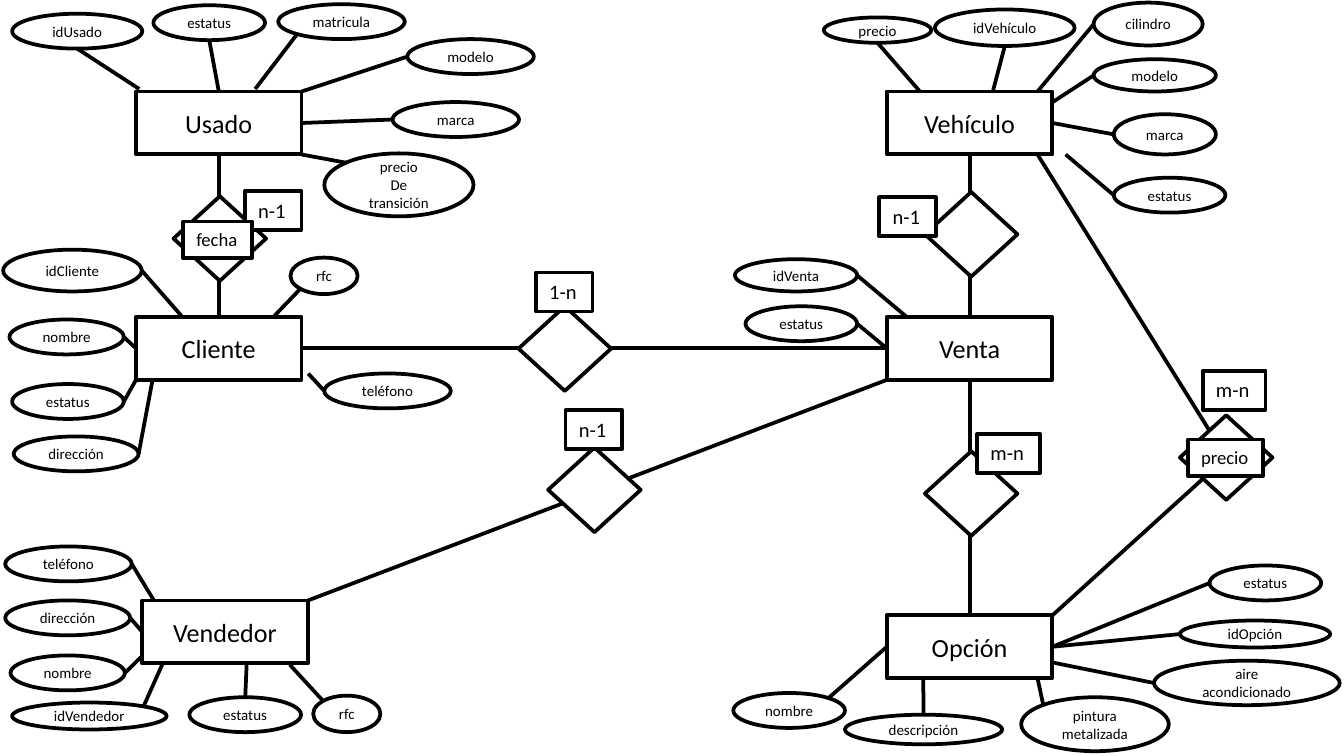
import dataclasses
import itertools

import lxml.etree
import pptx
import pptx.dml.color
import pptx.enum.shapes
import pptx.enum.text
import pptx.oxml.ns
import pptx.util

Cm = pptx.util.Cm
Kind = pptx.enum.shapes.MSO_SHAPE
Align = pptx.enum.text.PP_ALIGN
Anchor = pptx.enum.text.MSO_ANCHOR
Fit = pptx.enum.text.MSO_AUTO_SIZE


@dataclasses.dataclass(frozen=True)
class Theme:
    """Colours, font and sizes of the diagram."""
    ink: pptx.dml.color.RGBColor = pptx.dml.color.RGBColor(0, 0, 0)
    paper: pptx.dml.color.RGBColor = pptx.dml.color.RGBColor(255, 255, 255)
    font: str = "Calibri"
    line: int = 2
    table: int = 14
    field: int = 8
    count: int = 11
    note: int = 10


THEME = Theme()
TABLE = (3.13, 1.19)
RHOMB = (1.75, 1.6)
NEAR, FAR = 0.15, 0.85
SITES = {
    "t": (0.5, 0), "b": (0.5, 1), "l": (0, 0.5), "r": (1, 0.5),
    "tl": (NEAR, NEAR), "tr": (FAR, NEAR), "bl": (NEAR, FAR),
}

TABLES = {
    "Usado": (2.57, 1.73, [
        ("idUsado", -2.34, -1.47, 2.46, 0.66, "b", (0.02, -0.04)),
        ("estatus", 0.33, -1.63, 2.11, 0.66, "b", (0.5, 0)),
        ("matricula", 2.69, -1.65, 2.39, 0.66, "bl", (0.72, -0.04)),
        ("modelo", 5.13, -0.99, 2.39, 0.66, "l", (1, 0)),
        ("marca", 4.85, 0.2, 2.39, 0.66, "l", (1, 0.5)),
        ("precio\nDe\ntransición", 3.56, 1.17, 2.82, 1.19, "tl", (1, 1)),
    ]),
    "Vehículo": (16.76, 1.73, [
        ("precio", -1.19, -1.4, 2.03, 0.48, "b", (0.2, 0)),
        ("idVehículo", 0.91, -1.55, 2.64, 0.69, "b", (0.64, 0)),
        ("cilindro", 3.91, -1.68, 2.06, 0.81, "l", (0.91, 0)),
        ("modelo", 3.91, -0.61, 2.31, 0.61, "l", (1, 0.17)),
        ("marca", 4.29, 0.43, 1.93, 0.76, "l", (1, 0.5)),
        ("estatus", 4.29, 1.63, 2.11, 0.66, "l", (1.08, 1)),
    ]),
    "Cliente": (2.57, 5.99, [
        ("idCliente", -2.51, -1.27, 2.62, 0.79, "r", (0.28, 0)),
        ("nombre", -2.39, 0.05, 2.16, 0.66, "r", (0, 0.5)),
        ("estatus", -2.34, 1.27, 2.11, 0.66, "r", (0, 1)),
        ("dirección", -2.31, 2.26, 2.36, 0.66, "r", (0.1, 1)),
        ("rfc", 2.92, -1.12, 1.27, 0.69, "bl", (0.83, 0)),
        ("teléfono", 3.56, 1.07, 2.39, 0.66, "l", (1.04, 0.9)),
    ]),
    "Venta": (16.76, 5.99, [
        ("idVenta", -2.87, -1.09, 2.31, 0.61, "r", (0.12, 0)),
        ("estatus", -2.67, -0.2, 2.11, 0.66, "r", (0, 0.5)),
    ]),
    "Vendedor": (2.69, 11.35, [
        ("teléfono", -2.59, -1.02, 2.39, 0.66, "r", (0.07, 0)),
        ("dirección", -2.59, 0, 2.36, 0.66, "r", (0, 0.5)),
        ("nombre", -2.49, 1.04, 2.16, 0.66, "r", (0, 0.88)),
        ("idVendedor", -2.46, 1.93, 2.92, 0.51, "tr", (0.12, 1.02)),
        ("estatus", 0.89, 1.83, 2.11, 0.66, "t", (0.63, 1.02)),
        ("rfc", 3.23, 1.8, 1.27, 0.69, "tl", (0.89, 1.02)),
    ]),
    "Opción": (16.76, 11.63, [
        ("nombre", -2.9, 1.47, 2.11, 0.66, "tr", (0, 0.5)),
        ("descripción", -0.79, 1.88, 2.97, 0.56, "t", (0.22, 1)),
        ("pintura\nmetalizada", 2.54, 1.55, 2.79, 1.02, "tl", (0.91, 1)),
        ("aire\nacondicionado", 5.05, 0.86, 3.51, 0.84, "l", (1, 0.75)),
        ("idOpción", 5.54, 0.1, 2.84, 0.51, "l", (1, 0.5)),
        ("estatus", 6.1, -0.94, 2.11, 0.66, "l", (1, 0.5)),
    ]),
}

COUNT, WIDE = (1.07, 0.74, THEME.count), (1.19, 0.74, THEME.count)
LINKS = [
    (3.28, 3.71, ("Usado", (0.5, 1)), ("Cliente", (0.5, 0)), False,
     [("n-1", 1.35, -0.1, *COUNT), ("fecha", 0.18, 0.48, 1.3, 0.69, THEME.note)]),
    (9.8, 5.79, ("Cliente", (1, 0.5)), ("Venta", (0, 0.5)), False,
     [("1-n", 0.33, -0.64, *COUNT)]),
    (17.48, 3.63, ("Venta", (0.5, 0)), ("Vehículo", (0.5, 1)), False,
     [("n-1", -0.86, 0.1, *COUNT)]),
    (10.36, 8.46, ("Vendedor", (1, 0)), ("Venta", (0, 1)), False,
     [("n-1", 0.33, -0.71, *COUNT)]),
    (22.3, 7.85, ("Vehículo", (0.91, 1)), ("Opción", (1, 0)), True,
     [("m-n", 0.43, -0.84, *WIDE), ("precio", 0.15, 0.46, 1.42, 0.69, THEME.note)]),
    (17.48, 8.53, ("Opción", (0.5, 0)), ("Venta", (0.5, 1)), False,
     [("m-n", 0.99, -0.33, *WIDE)]),
]


def spot(box, part):
    """Return the point at a fraction of a box's width and height."""
    x, y, w, h = box
    return x + w * part[0], y + h * part[1]


def draw_line(slide, start, end):
    """Draw a plain line between two points."""
    line = slide.shapes.add_connector(
        pptx.enum.shapes.MSO_CONNECTOR.STRAIGHT, *map(Cm, start + end))
    line.line.color.rgb = THEME.ink
    line.line.width = pptx.util.Pt(THEME.line)
    props = line._element.spPr
    lxml.etree.SubElement(props, pptx.oxml.ns.qn("a:effectLst"))


def draw_node(slide, kind, box, text="", size=THEME.field, tag=False):
    """Draw an outlined shape with one paragraph per line of text."""
    node = slide.shapes.add_shape(kind, *map(Cm, box))
    node.shadow.inherit = False
    node.fill.solid()
    node.fill.fore_color.rgb = THEME.paper
    node.line.color.rgb = THEME.ink
    node.line.width = pptx.util.Pt(THEME.line)
    frame = node.text_frame
    frame.word_wrap = False
    frame.vertical_anchor = Anchor.TOP if tag else Anchor.MIDDLE
    if tag:
        frame.auto_size = Fit.SHAPE_TO_FIT_TEXT
    for index, words in enumerate(text.splitlines()):
        para = frame.add_paragraph() if index else frame.paragraphs[0]
        para.alignment = Align.LEFT if tag else Align.CENTER
        run = para.add_run()
        run.text = words
        run.font.name = THEME.font
        run.font.size = pptx.util.Pt(size)
        run.font.color.rgb = THEME.ink


def draw_table(slide, name, box, fields):
    """Draw an entity with its attributes around it."""
    draw_node(slide, Kind.RECTANGLE, box, name, THEME.table)
    for text, x, y, w, h, site, end in fields:
        oval = (box[0] + x, box[1] + y, w, h)
        draw_node(slide, Kind.OVAL, oval, text)
        draw_line(slide, spot(oval, SITES[site]), spot(box, end))


def draw_link(slide, box, start, end, bent, tags):
    """Draw a relation: its line, its diamond and its tags."""
    route = [start, spot(box, (0.5, 0.5)), end] if bent else [start, end]
    for pair in itertools.pairwise(route):
        draw_line(slide, *pair)
    draw_node(slide, Kind.DIAMOND, box)
    for text, x, y, w, h, size in tags:
        draw_node(slide, Kind.RECTANGLE, (box[0] + x, box[1] + y, w, h),
                  text, size, tag=True)


def main():
    """Build the entity-relation slide and save it."""
    deck = pptx.Presentation()
    deck.slide_width, deck.slide_height = Cm(25.4), Cm(14.29)
    slide = deck.slides.add_slide(deck.slide_layouts[6])
    boxes = {name: (x, y, *TABLE) for name, (x, y, _) in TABLES.items()}
    for name, (_, _, fields) in TABLES.items():
        draw_table(slide, name, boxes[name], fields)
    for x, y, start, end, bent, tags in LINKS:
        ends = [spot(boxes[name], part) for name, part in (start, end)]
        draw_link(slide, (x, y, *RHOMB), *ends, bent, tags)
    deck.save("out.pptx")


if __name__ == "__main__":
    main()
